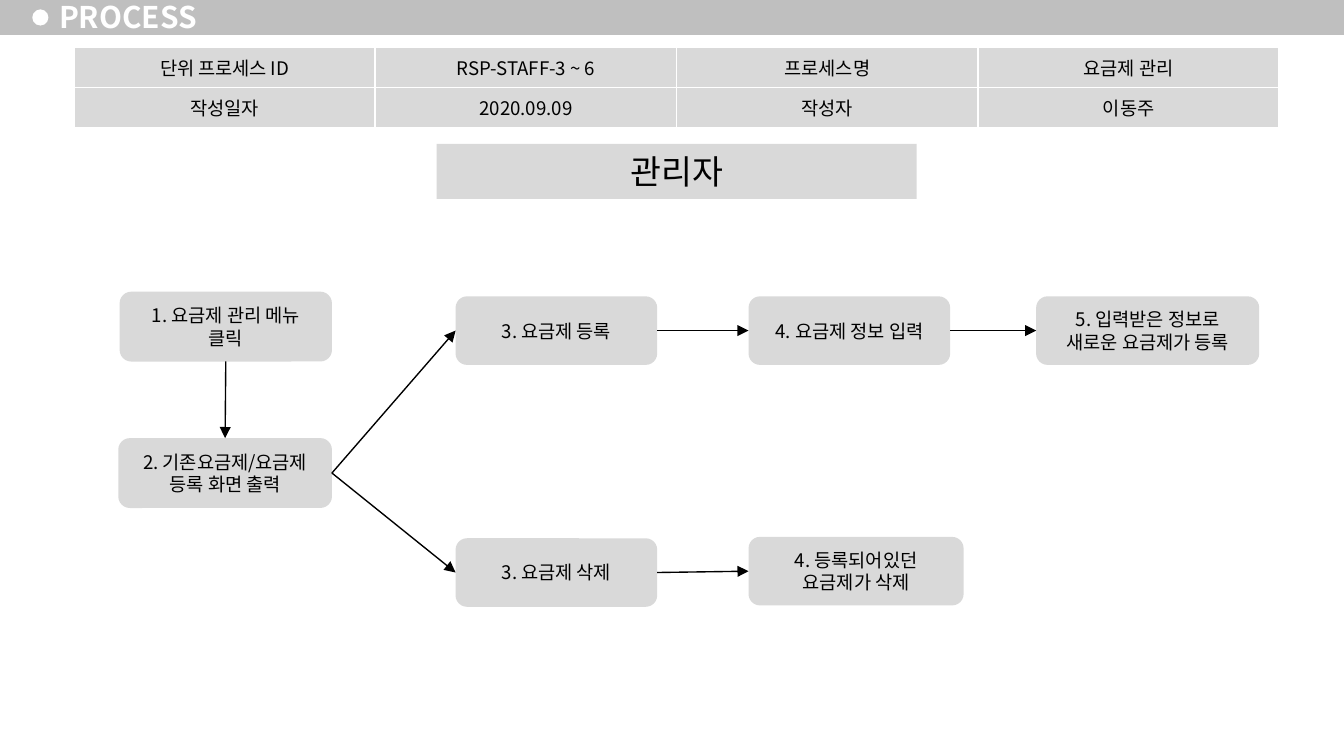
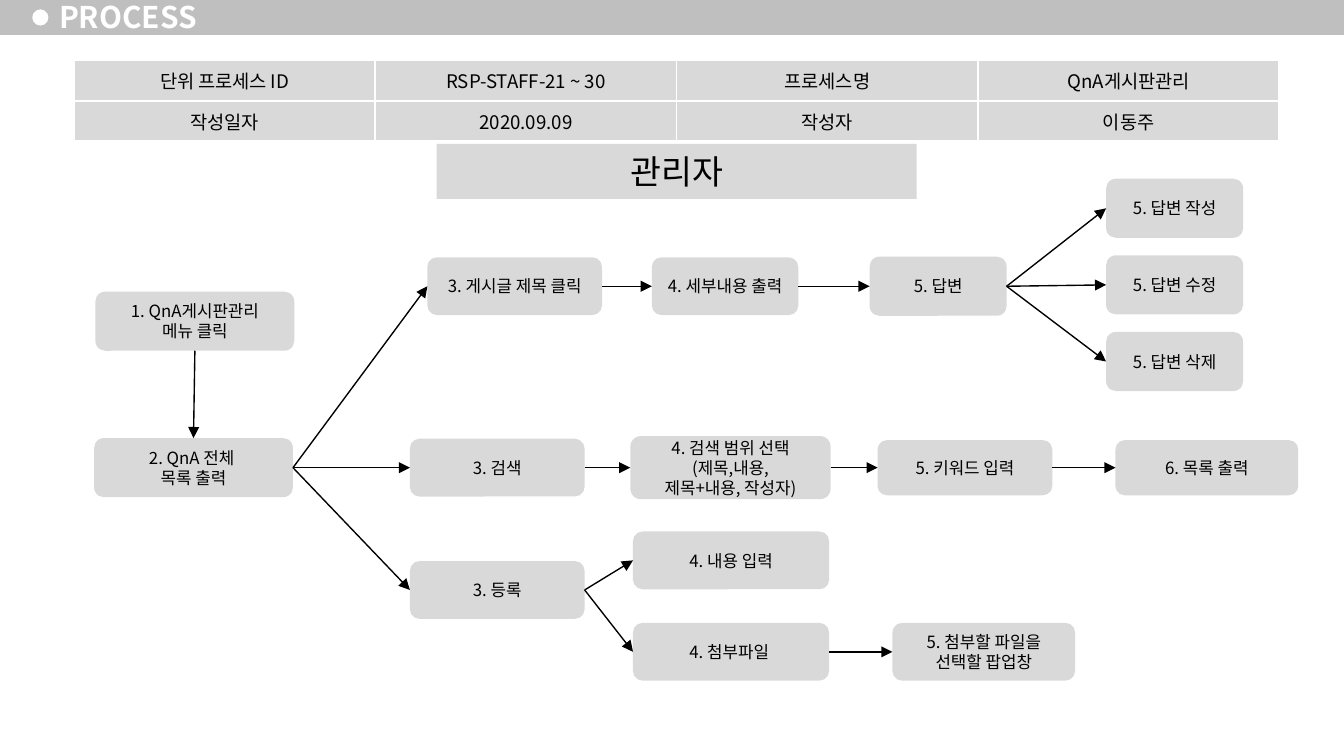
from dataclasses import dataclass

from lxml import etree
from pptx import Presentation
from pptx import util as u
from pptx.dml.color import RGBColor
from pptx.enum import shapes, text
from pptx.oxml import ns


@dataclass(frozen=True)
class Theme:
    font: str = "Noto Sans CJK KR"
    band: str = "BFBFBF"
    box: str = "D9D9D9"
    ink: str = "000000"
    white: str = "FFFFFF"
    title: int = 16
    role: int = 18
    cell: int = 10
    line: float = 0.75
    rule: int = 1


T = Theme()
WIDE = 10
HIGH = WIDE * 9 / 16
TITLE, ROLE = "PROCESS", "관리자"

# Content: rows give centre lines; a node is (text, left, width, row[, height])
PAGES = [
    {
        "info": ("RSP-STAFF-3 ~ 6", "요금제 관리"),
        "top": 0.35, "size": 10, "high": 0.51,
        "rows": {"menu": 2.43, "add": 2.46, "list": 3.52,
                 "drop": 4.26, "gone": 4.25},
        "nodes": {
            "menu": ("1. 요금제 관리 메뉴 클릭", 0.89, 1.58, "menu", 0.52),
            "list": ("2. 기존요금제/요금제 등록 화면 출력", 0.88, 1.59, "list", 0.52),
            "add": ("3. 요금제 등록", 3.39, 1.5, "add"),
            "fill": ("4. 요금제 정보 입력", 5.57, 1.5, "add"),
            "new": ("5. 입력받은 정보로 새로운 요금제가 등록", 7.71, 1.66, "add"),
            "drop": ("3. 요금제 삭제", 3.39, 1.5, "drop"),
            "gone": ("4. 등록되어있던 요금제가 삭제", 5.57, 1.6, "gone"),
        },
        "down": [("menu", "list")],
        "flows": ["list add fill new", "list drop gone"],
    },
    {
        "info": ("RSP-STAFF-21 ~ 30", "QnA게시판관리"),
        "top": 0.45, "size": 9, "high": 0.43,
        "rows": {"menu": 2.39, "post": 2.13, "find": 3.48, "new": 4.39,
                 "body": 4.17, "file": 4.85,
                 "write": 1.55, "edit": 2.12, "erase": 2.69},
        "nodes": {
            "menu": ("1. QnA게시판관리\n메뉴 클릭", 0.71, 1.48, "menu", 0.44),
            "list": ("2. QnA 전체 \n목록 출력", 0.7, 1.48, "find", 0.44),
            "post": ("3. 게시글 제목 클릭", 3.18, 1.3, "post"),
            "view": ("4. 세부내용 출력", 4.85, 1.09, "post"),
            "reply": ("5. 답변", 6.47, 1.02, "post", 0.44),
            "write": ("5. 답변 작성", 8.23, 1.02, "write", 0.44),
            "edit": ("5. 답변 수정", 8.23, 1.02, "edit", 0.44),
            "erase": ("5. 답변 삭제", 8.23, 1.02, "erase", 0.44),
            "find": ("3. 검색", 3.05, 1.3, "find"),
            "scope": ("4. 검색 범위 선택\n(제목,내용,\n제목+내용, 작성자)",
                      4.69, 1.49, "find", 0.47),
            "key": ("5. 키워드 입력", 6.53, 1.3, "find", 0.41),
            "hits": ("6. 목록 출력", 8.3, 1.36, "find", 0.41),
            "new": ("3. 등록", 3.05, 1.3, "new"),
            "body": ("4. 내용 입력", 4.71, 1.46, "body"),
            "file": ("4. 첨부파일 ", 4.71, 1.46, "file"),
            "pop": ("5. 첨부할 파일을 선택할 팝업창", 6.64, 1.36, "file"),
        },
        "down": [("menu", "list")],
        "flows": ["list post view reply write", "reply edit", "reply erase",
                  "list find scope key hits", "list new body", "new file pop"],
    },
]


def rgb(code):
    return RGBColor.from_string(code)


def inch(*vals):
    return [u.Inches(v) for v in vals]


def write(frame, words, size, color=T.ink, bold=False, align="CENTER"):
    """Fill a text frame, one paragraph per line."""
    frame.word_wrap = True
    for n, line in enumerate(words.split("\n")):
        par = frame.add_paragraph() if n else frame.paragraphs[0]
        par.alignment = text.PP_ALIGN[align]
        run = par.add_run()
        run.text = line
        font = run.font
        font.name, font.size, font.bold = T.font, u.Pt(size), bold
        font.color.rgb = rgb(color)
        latin = font._element.find(ns.qn("a:latin"))
        east = etree.Element(ns.qn("a:ea"), typeface=T.font)
        latin.addnext(east)


def block(page, kind, place, fill):
    item = page.shapes.add_shape(shapes.MSO_SHAPE[kind], *inch(*place))
    item.shadow.inherit = False
    item.fill.solid()
    item.fill.fore_color.rgb = rgb(fill)
    item.line.fill.background()
    return item


def arrow(page, start, end, sides):
    """Join two boxes; sides are the connection sites used."""
    line = page.shapes.add_connector(shapes.MSO_CONNECTOR.STRAIGHT, 0, 0, 0, 0)
    line.begin_connect(start, sides[0])
    line.end_connect(end, sides[1])
    line.line.color.rgb = rgb(T.ink)
    line.line.width = u.Pt(T.line)
    props = line.element.spPr
    etree.SubElement(props.find(ns.qn("a:ln")), ns.qn("a:tailEnd"), type="triangle")
    etree.SubElement(props, ns.qn("a:effectLst"))


def border(cell):
    props = cell._tc.get_or_add_tcPr()
    for n, side in enumerate("LRTB"):
        edge = etree.Element(ns.qn(f"a:ln{side}"), w=str(u.Pt(T.rule)))
        fill = etree.SubElement(edge, ns.qn("a:solidFill"))
        etree.SubElement(fill, ns.qn("a:srgbClr"), val=T.white)
        props.insert(n, edge)


def band(page):
    """Draw the header once and move it behind the layout's parts."""
    parts = [block(page, "RECTANGLE", (0, -0.02, WIDE, 0.28), T.band),
             block(page, "OVAL", (0.24, 0.07, 0.12, 0.12), T.white)]
    tree = page.slide_layout.placeholders[0].element.getparent()
    for n, part in enumerate(parts):
        tree.insert(2 + n, part.element)


def head(page):
    title = page.shapes.title
    title.left, title.top, title.width, title.height = inch(0.35, -0.04, 1.22, 0.32)
    frame = title.text_frame
    frame.auto_size = text.MSO_AUTO_SIZE.NONE
    frame.vertical_anchor = text.MSO_ANCHOR.MIDDLE
    frame.margin_left = frame.margin_right = u.Inches(0.09)
    frame.margin_top = frame.margin_bottom = u.Inches(0.04)
    write(frame, TITLE, T.title, color=T.white, bold=True, align="LEFT")
    role = block(page, "RECTANGLE", (3.25, 1.07, 3.57, 0.41), T.box)
    role.text_frame.vertical_anchor = text.MSO_ANCHOR.TOP
    write(role.text_frame, ROLE, T.role)


def table(page, info, top):
    code, name = info
    rows = [("단위 프로세스 ID", code, "프로세스명", name),
            ("작성일자", "2020.09.09", "작성자", "이동주")]
    grid = page.shapes.add_table(2, 4, *inch(0.55, top, 8.97, 0.56)).table
    grid.first_row = grid.horz_banding = False
    for r, row in enumerate(rows):
        for c, words in enumerate(row):
            cell = grid.cell(r, c)
            cell.vertical_anchor = text.MSO_ANCHOR.MIDDLE
            cell.fill.solid()
            cell.fill.fore_color.rgb = rgb(T.box)
            border(cell)
            write(cell.text_frame, words, T.cell)


def chart(page, data):
    """Place the boxes on their rows, then link them."""
    boxes = {}
    for key, (words, left, wide, row, *own) in data["nodes"].items():
        high = own[0] if own else data["high"]
        top = data["rows"][row] - high / 2
        box = block(page, "ROUNDED_RECTANGLE", (left, top, wide, high), T.box)
        box.text_frame.vertical_anchor = text.MSO_ANCHOR.MIDDLE
        write(box.text_frame, words, data["size"])
        boxes[key] = box
    for a, b in data["down"]:
        arrow(page, boxes[a], boxes[b], (2, 0))
    for flow in data["flows"]:
        keys = flow.split()
        for a, b in zip(keys, keys[1:]):
            arrow(page, boxes[a], boxes[b], (3, 1))


def main():
    deck = Presentation()
    deck.slide_width, deck.slide_height = inch(WIDE, HIGH)
    for n, data in enumerate(PAGES):
        page = deck.slides.add_slide(deck.slide_layouts[5])
        if n == 0:
            band(page)
        head(page)
        table(page, data["info"], data["top"])
        chart(page, data)
    deck.save("out.pptx")


if __name__ == "__main__":
    main()
